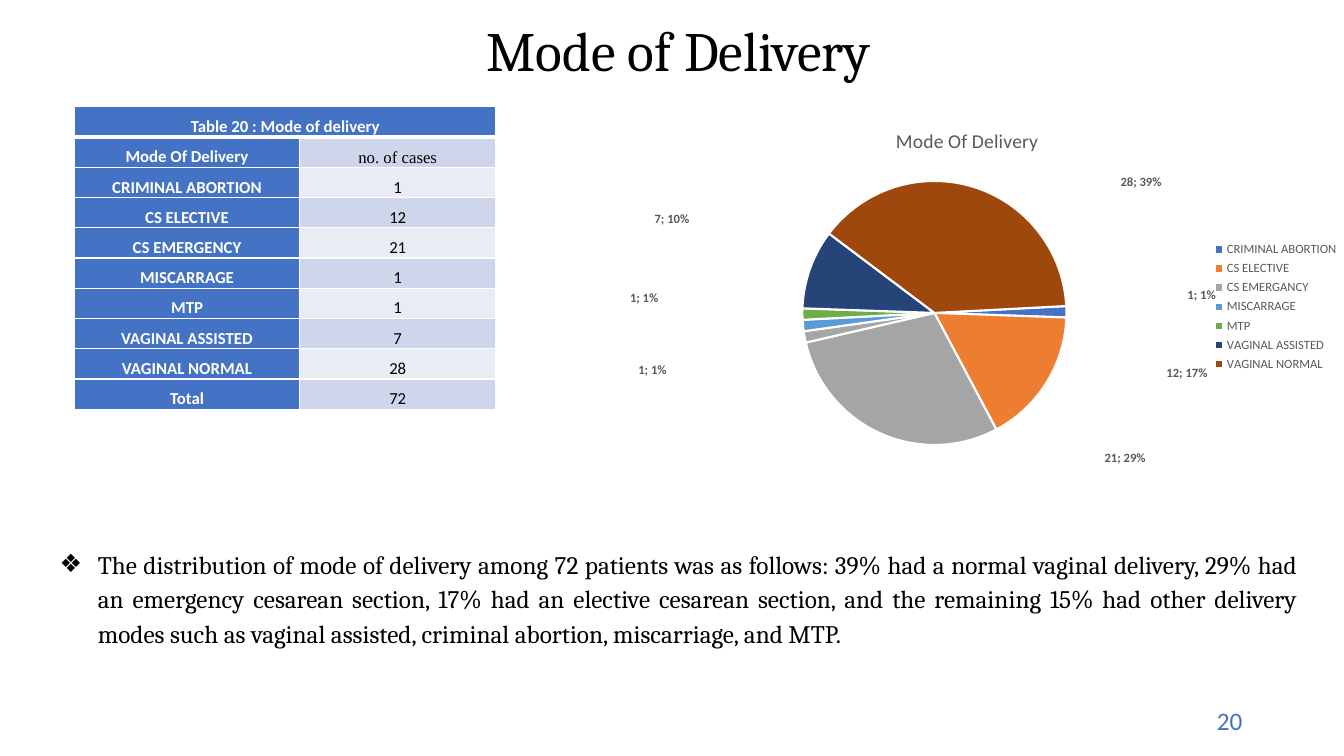
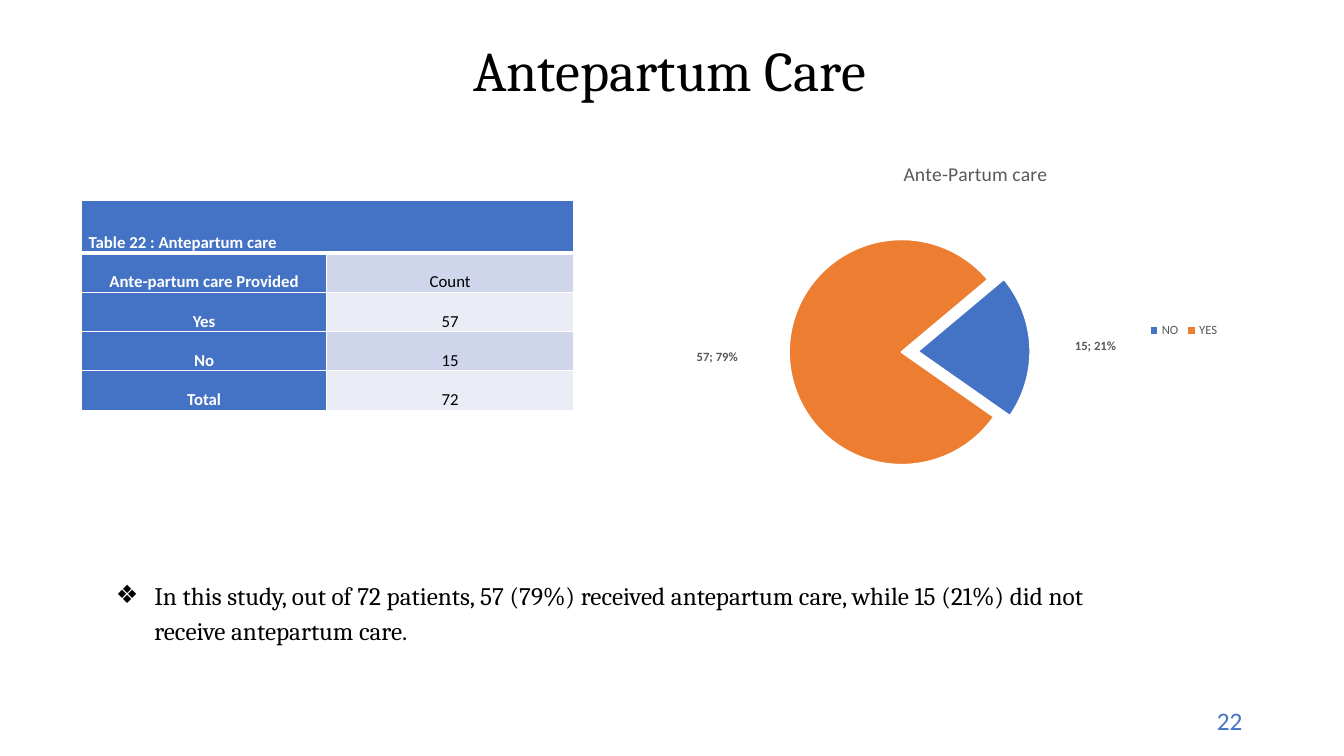
from copy import deepcopy

from lxml.etree import SubElement
from pptx import Presentation
from pptx.chart.data import CategoryChartData
from pptx.dml.color import RGBColor
from pptx.enum.chart import XL_CHART_TYPE, XL_LEGEND_POSITION
from pptx.enum.text import MSO_ANCHOR, MSO_AUTO_SIZE, PP_ALIGN
from pptx.oxml import parse_xml
from pptx.oxml.ns import nsdecls, qn
from pptx.util import Inches, Pt

BLUE, ORANGE, BLACK, WHITE, GREY = "4472C4", "ED7D31", "000000", "FFFFFF", "595959"
BANDS = ["E9EBF5", "CFD5EA"]
SERIF, SANS = "Cambria", "Calibri"


def rgb(color):
    return RGBColor.from_string(color)


def style_font(font, size, color, name=SANS, bold=False):
    font.name, font.size, font.bold = name, Pt(size), bold
    font.color.rgb = rgb(color)


def layout_xml(x, y, width=None, height=None, inner=False):
    """Manual chart layout; lengths are fractions of the chart."""
    parts = [("layoutTarget", "inner")] if inner else []
    if width is not None:
        parts += [("xMode", "edge"), ("yMode", "edge")]
    parts += [("x", x), ("y", y)]
    if width:
        parts += [("w", width), ("h", height)]
    body = "".join(f'<c:{tag} val="{value}"/>' for tag, value in parts)
    return f'<c:layout {nsdecls("c")}><c:manualLayout>{body}</c:manualLayout></c:layout>'


def place(element, index, *area, inner=False):
    """Give a chart part a manual layout as its child number index."""
    for old in element.findall(qn("c:layout")):
        element.remove(old)
    element.insert(index, parse_xml(layout_xml(*area, inner=inner)))


class Deck:
    def __init__(self):
        self.presentation = Presentation()
        self.presentation.slide_width = Inches(13.33)
        self.presentation.slide_height = Inches(7.5)
        self.slide = None

    def add_text(self, paragraph, text, size, color=BLACK, name=SERIF, bold=False,
                 align=PP_ALIGN.CENTER, spacing=1.15, after=0):
        paragraph.alignment = align
        paragraph.line_spacing = spacing
        paragraph.space_before, paragraph.space_after = Pt(0), Pt(after)
        run = paragraph.add_run()
        run.text = text
        style_font(run.font, size, color, name, bold)

    def move(self, shape, left, top, width, height):
        shape.left, shape.top = Inches(left), Inches(top)
        shape.width, shape.height = Inches(width), Inches(height)

    def start(self, title, number, area, size=40):
        self.slide = self.presentation.slides.add_slide(self.presentation.slide_layouts[1])
        heading = self.slide.shapes.title
        self.move(heading, *area)
        frame = heading.text_frame
        frame.auto_size = MSO_AUTO_SIZE.NONE
        frame.vertical_anchor = MSO_ANCHOR.MIDDLE
        self.add_text(frame.paragraphs[0], title, size, spacing=0.9)

        footer = self.slide.shapes.add_textbox(Inches(9.42), Inches(6.95), Inches(3), Inches(0.4))
        footer.text_frame.word_wrap = True
        footer.text_frame.vertical_anchor = MSO_ANCHOR.MIDDLE
        self.add_text(footer.text_frame.paragraphs[0], number, 18, BLUE, SANS,
                      align=PP_ALIGN.RIGHT, spacing=1.0)

    def finding(self, text, area):
        body = self.slide.placeholders[1]
        self.move(body, *area)
        body.text_frame.auto_size = MSO_AUTO_SIZE.NONE
        paragraph = body.text_frame.paragraphs[0]
        properties = paragraph._p.get_or_add_pPr()
        properties.set("marL", str(Inches(0.38)))
        properties.set("indent", str(Inches(-0.38)))
        SubElement(properties, qn("a:buChar")).set("char", "❖")
        self.add_text(paragraph, text, 18, align=PP_ALIGN.JUSTIFY, after=10)

    def border(self, cell, row):
        widths = {"L": 1, "R": 1, "T": 3 if row == 1 else 1, "B": 3 if row == 0 else 1}
        properties = cell._tc.get_or_add_tcPr()
        for side, width in widths.items():
            properties.append(parse_xml(
                f'<a:ln{side} {nsdecls("a")} w="{Pt(width)}"><a:solidFill>'
                f'<a:srgbClr val="{WHITE}"/></a:solidFill></a:ln{side}>'))

    def table(self, caption, rows, left, top, columns, heights,
              caption_align=PP_ALIGN.CENTER, count_font=SANS):
        """Counts under a merged caption; count_font is for the count heading."""
        frame = self.slide.shapes.add_table(len(rows) + 1, 2, Inches(left), Inches(top),
                                            Inches(sum(columns)), Inches(sum(heights)))
        table = frame.table
        table.first_row = table.horz_banding = False
        for column, width in zip(table.columns, columns):
            column.width = Inches(width)
        for row, height in zip(table.rows, heights):
            row.height = Inches(height)
        table.cell(0, 0).merge(table.cell(0, 1))
        for r, texts in enumerate([(caption, ""), *rows]):
            for c, text in enumerate(texts):
                cell = table.cell(r, c)
                self.border(cell, r)
                heading = r == 0 or c == 0
                cell.fill.solid()
                cell.fill.fore_color.rgb = rgb(BLUE if heading else BANDS[r % 2])
                cell.vertical_anchor = MSO_ANCHOR.BOTTOM
                cell.margin_left = cell.margin_right = Inches(0.07)
                cell.margin_top = cell.margin_bottom = 0
                if text:
                    self.add_text(cell.text_frame.paragraphs[0], text, 12,
                                  WHITE if heading else BLACK,
                                  count_font if r == 1 and c == 1 else SANS, heading,
                                  caption_align if r == 0 else PP_ALIGN.CENTER, after=8)

    def pie(self, title, slices, area, start, plot_area, title_at, legend_area,
            legend_side, explosion=0):
        """Slices are (category, value, colour, label offset); no offset hides label and key."""
        data = CategoryChartData()
        data.categories = [category for category, *_ in slices]
        data.add_series("Series 1", [value for _, value, *_ in slices])
        chart = self.slide.shapes.add_chart(
            XL_CHART_TYPE.PIE, *(Inches(length) for length in area), data).chart
        style_font(chart.font, 10, BLACK)
        chart.has_title = True
        heading = chart.chart_title.text_frame.paragraphs[0].add_run()
        heading.text = title
        style_font(heading.font, 14, GREY)
        place(chart.chart_title._element, 1, *title_at, 0)

        chart.has_legend = True
        chart.legend.position = legend_side
        chart.legend.include_in_layout = False
        style_font(chart.legend.font, 9, GREY)
        place(chart.legend._element, 1, *legend_area)

        plot = chart.plots[0]
        plot.vary_by_categories = True
        place(plot._element.getparent(), 0, *plot_area, inner=True)
        SubElement(plot._element, qn("c:firstSliceAng")).set("val", str(start))
        series = plot.series[0]
        for index, (_, _, color, _) in enumerate(slices):
            look = series.points[index].format
            look.fill.solid()
            look.fill.fore_color.rgb = rgb(color)
            look.line.color.rgb = rgb(WHITE)
            look.line.width = Pt(1.5)
        if explosion:
            for point in series._element.findall(qn("c:dPt")):
                point.find(qn("c:spPr")).addprevious(
                    parse_xml(f'<c:explosion {nsdecls("c")} val="{explosion}"/>'))
        self.label_slices(chart, series, [offset for *_, offset in slices])

    def label_slices(self, chart, series, offsets):
        labels = series.data_labels
        labels.show_value = labels.show_percentage = True
        style_font(labels.font, 9, GREY, bold=True)
        for leader in labels._element.findall(qn("c:showLeaderLines")):
            leader.set("val", "0")
        text_style = labels._element.find(qn("c:txPr"))
        flags = "".join(
            f'<c:show{part} val="{int(part in ("Val", "Percent"))}"/>'
            for part in ("LegendKey", "Val", "CatName", "SerName", "Percent", "BubbleSize"))
        for index, offset in enumerate(offsets):
            start = f'<c:dLbl {nsdecls("c")}><c:idx val="{index}"/>'
            if offset is None:
                label = parse_xml(start + '<c:delete val="1"/></c:dLbl>')
                chart.legend._element.insert(1, parse_xml(
                    f'<c:legendEntry {nsdecls("c")}><c:idx val="{index}"/>'
                    '<c:delete val="1"/></c:legendEntry>'))
            else:
                label = parse_xml(
                    start + layout_xml(*offset) + '<c:dLblPos val="outEnd"/>' + flags
                    + "<c:separator>; </c:separator></c:dLbl>")
                label.insert(2, deepcopy(text_style))
            labels._element.insert(index, label)


def delivery_slide(deck):
    deck.start("Mode of Delivery", "20", (0.98, 0.2, 11.5, 0.67), 39.6)
    deck.table("Table 20 : Mode of delivery", [
        ("Mode Of Delivery", "no. of cases"),
        ("CRIMINAL ABORTION", "1"),
        ("CS ELECTIVE", "12"),
        ("CS EMERGENCY", "21"),
        ("MISCARRAGE", "1"),
        ("MTP", "1"),
        ("VAGINAL ASSISTED", "7"),
        ("VAGINAL NORMAL", "28"),
        ("Total", "72"),
    ], 0.74, 1.06, (2.23, 1.95), [0.3] * 10, count_font="Times New Roman")
    deck.pie("Mode Of Delivery", [
        ("CRIMINAL ABORTION", 1, BLUE, (0.15, -0.04)),
        ("CS ELECTIVE", 12, ORANGE, (0.15, -0.05)),
        ("CS EMERGANCY", 21, "A5A5A5", (0.35, 0.03)),
        ("CS EMERGENCY", 1, "A6A6A6", None),
        ("MISCARRAGE", 1, "5B9BD5", (-0.17, 0.09)),
        ("MTP", 1, "70AD47", (-0.18, -0.04)),
        ("VAGINAL ASSISTED", 7, "264478", (-0.15, -0.1)),
        ("VAGINAL NORMAL", 28, "9E480E", (0.19, 0.02)),
    ], (5.73, 1.03, 7.61, 4.03), 87, (0.29, 0.19, 0.35, 0.65), (0.41, 0.05),
        (0.82, 0.33, 0.18, 0.34), XL_LEGEND_POSITION.RIGHT)
    deck.finding(
        "The distribution of mode of delivery among 72 patients was as follows: 39% had a normal "
        "vaginal delivery, 29% had an emergency cesarean section, 17% had an elective cesarean "
        "section, and the remaining 15% had other delivery modes such as vaginal assisted, "
        "criminal abortion, miscarriage, and MTP.", (0.49, 5.35, 12.48, 1.12))


def antepartum_slide(deck):
    deck.start("Antepartum Care", "22", (0.89, 0, 11.5, 1.45))
    deck.table("Table 22 : Antepartum care", [
        ("Ante-partum care Provided", "Count"),
        ("Yes", "57"),
        ("No", "15"),
        ("Total", "72"),
    ], 0.81, 1.99, (2.43, 2.45), [0.52] + [0.39] * 4, caption_align=PP_ALIGN.LEFT)
    deck.pie("Ante-Partum care", [
        ("NO", 15, BLUE, (0.06, 0)),
        ("YES", 57, ORANGE, (-0.07, 0)),
    ], (6.43, 1.35, 6.4, 3.48), 50, (0.23, 0.24, 0.35, 0.75), (0.39, 0.06),
        (0.77, 0.52, 0.12, 0.07), XL_LEGEND_POSITION.BOTTOM, explosion=7)
    deck.finding(
        "In this study, out of 72 patients, 57 (79%) received antepartum care, while 15 (21%) "
        "did not receive antepartum care.", (1.05, 5.66, 9.8, 0.77))


def main():
    deck = Deck()
    delivery_slide(deck)
    antepartum_slide(deck)
    deck.presentation.save("out.pptx")


if __name__ == "__main__":
    main()
